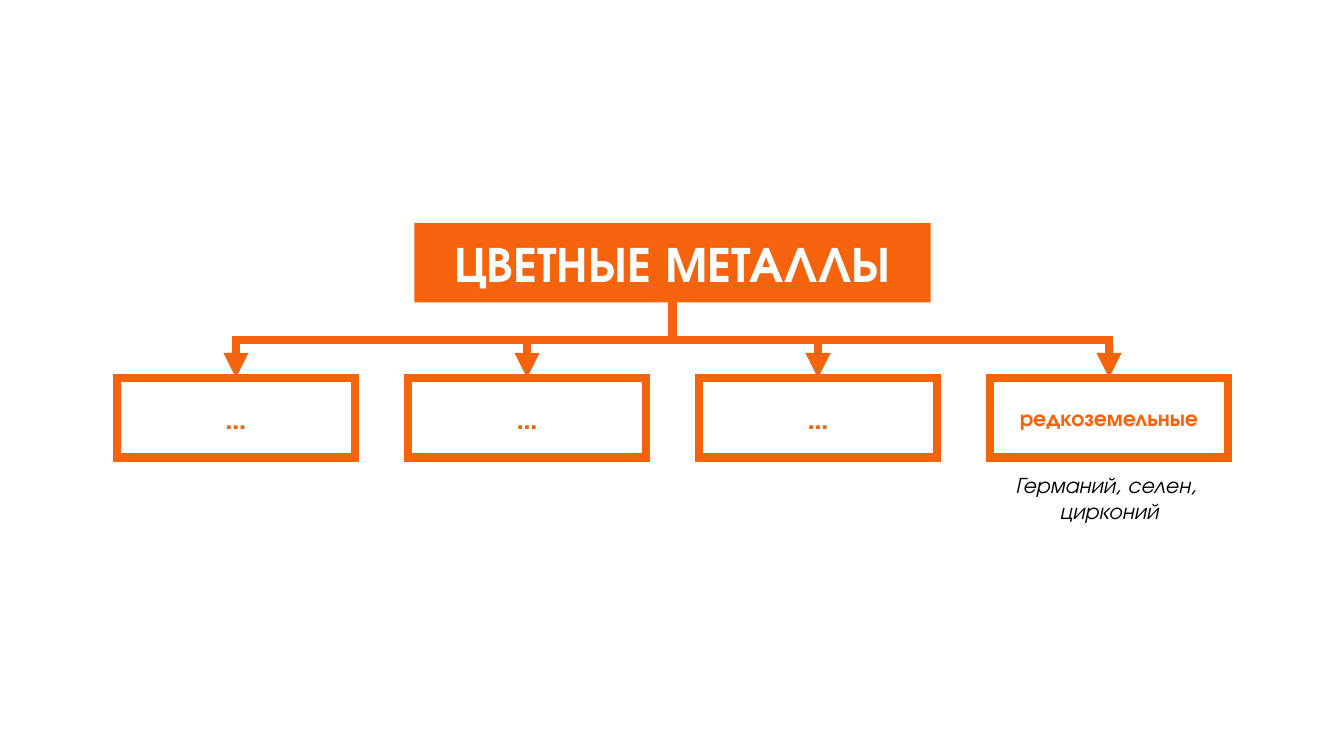
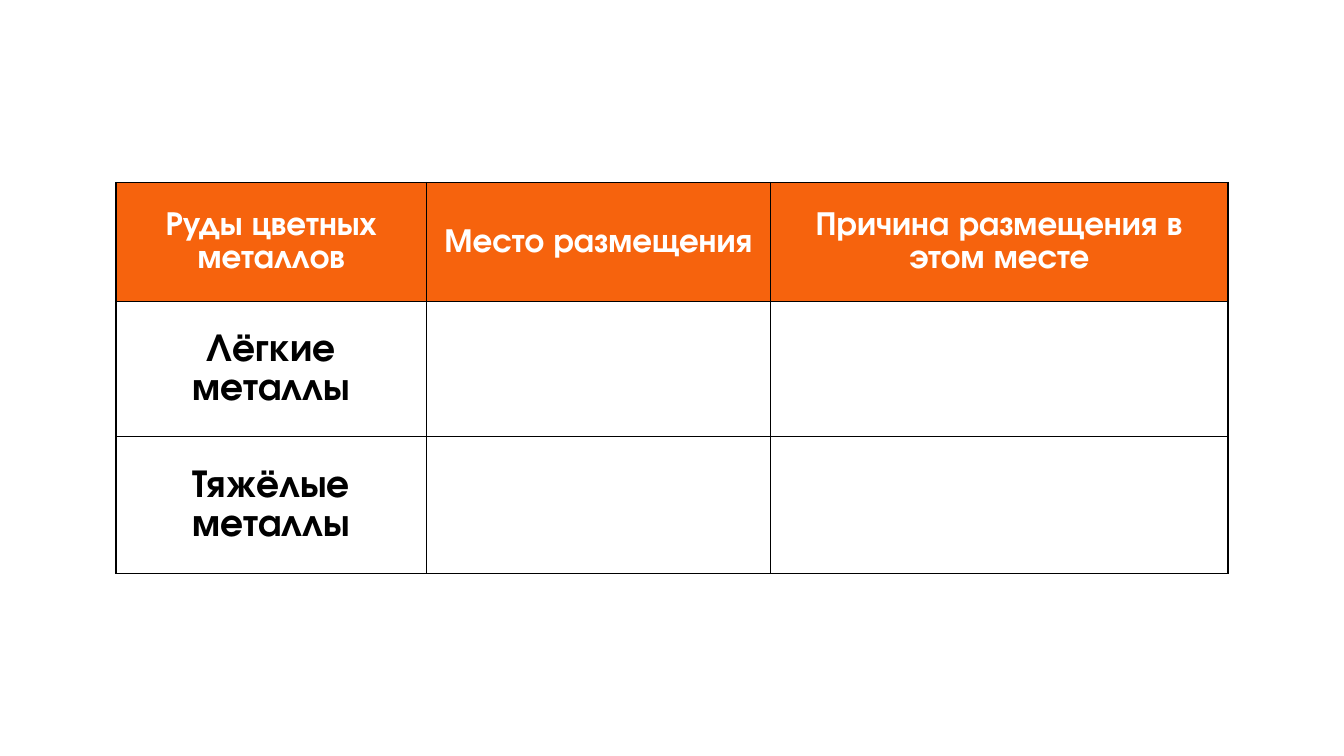
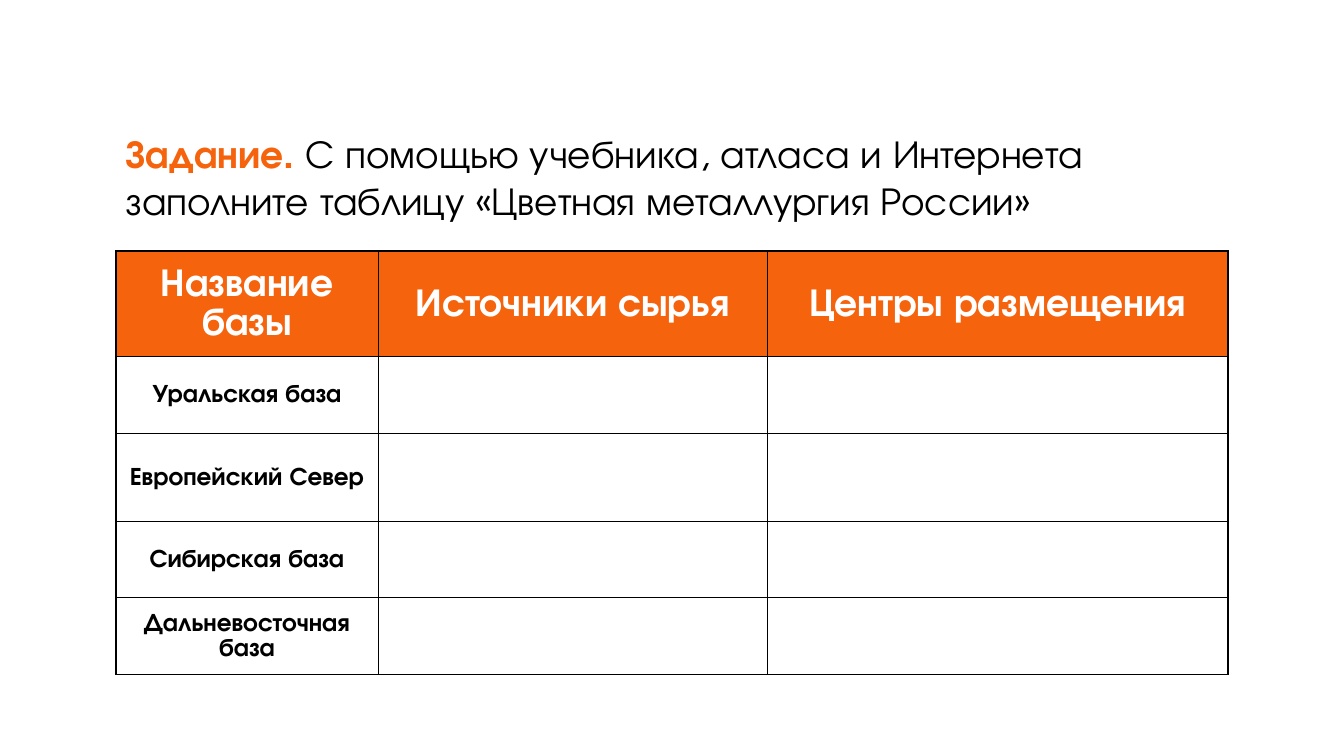
from lxml import etree
from pptx import Presentation
from pptx.dml.color import RGBColor
from pptx.enum.shapes import MSO_CONNECTOR, MSO_SHAPE
from pptx.enum.text import MSO_ANCHOR, PP_ALIGN
from pptx.oxml.ns import qn
from pptx.util import Inches, Pt

RECT = MSO_SHAPE.RECTANGLE
ELBOW = MSO_CONNECTOR.ELBOW
MIDDLE = MSO_ANCHOR.MIDDLE
CENTER = PP_ALIGN.CENTER
LEFT = PP_ALIGN.LEFT

FONT = "TeX Gyre Adventor"
HUES = {"main": "F6630D", "text": "000000", "back": "FFFFFF"}
EDGE = 1.15    # left margin of the content
SPAN = 11.02   # width of the content


def hue(name):
    return RGBColor.from_string(HUES[name])


def style(para, size, color, bold=False, italic=False, align=CENTER):
    para.alignment = align
    font = para.font
    font.name, font.size = FONT, Pt(size)
    font.bold, font.italic = bold, italic
    font.color.rgb = hue(color)


def stroke(line, arrow=False):
    """Thick line with sharp corners and an optional arrowhead."""
    line.color.rgb = hue("main")
    line.width = Pt(6)
    node = line._ln
    etree.SubElement(node, qn("a:miter"), lim="800000")
    if arrow:
        etree.SubElement(node, qn("a:tailEnd"), type="triangle")


def text_box(slide, box):
    frame = slide.shapes.add_textbox(*map(Inches, box)).text_frame
    frame.word_wrap = True
    return frame.paragraphs[0]


def block(slide, box, text, size, solid=False):
    """Rectangle with a label, either solid or outlined."""
    shape = slide.shapes.add_shape(RECT, *map(Inches, box))
    shape.shadow.inherit = False
    if solid:
        shape.fill.solid()
        shape.fill.fore_color.rgb = hue("main")
        shape.line.fill.background()
    else:
        shape.fill.background()
        stroke(shape.line)
    frame = shape.text_frame
    frame.word_wrap = True
    frame.vertical_anchor = MIDDLE
    para = frame.paragraphs[0]
    para.text = text
    style(para, size, "back" if solid else "main", bold=True)
    return shape


def branch(slide, root, leaf):
    """Elbow arrow that drops from the root to the top of a leaf."""
    link = slide.shapes.add_connector(ELBOW, 0, 0, 0, 0)
    link.begin_connect(root, 2)
    link.end_connect(leaf, 0)
    x1, y1 = root.left + root.width // 2, root.top + root.height
    x2, y2 = leaf.left + leaf.width // 2, leaf.top
    drop, run = y2 - y1, abs(x2 - x1)
    # The frame is turned a quarter so that the path starts downwards
    link.left, link.top = (x1 + x2 - drop) // 2, (y1 + y2 - run) // 2
    link.width, link.height = drop, run
    right = x2 > x1
    props = link._element.spPr
    frame = props.find(qn("a:xfrm"))
    frame.set("rot", str((270 if right else 90) * 60000))
    frame.set("flipH", "1" if right else "0")
    frame.set("flipV", "0")
    stroke(link.line, arrow=True)
    etree.SubElement(props, qn("a:effectLst"))


def tree(slide, box, title, leaves, note):
    left, top, width = box
    high, wide, head = 0.79, 2.36, 5.12
    root = block(slide, (left + (width - head) / 2, top, head, high),
                 title, 36, solid=True)
    step = (width - wide) / (len(leaves) - 1)
    row = top + 1.54
    items = [block(slide, (left + i * step, row, wide, high), text, size)
             for i, (text, size) in enumerate(leaves)]
    for item in items:
        branch(slide, root, item)
    # Examples under the last leaf
    para = text_box(slide, (left + width - wide, row + 0.87, wide, 0.64))
    para.text = note
    style(para, 16, "text", italic=True)


def border(cell):
    props = cell._tc.get_or_add_tcPr()
    for side in ("lnL", "lnR", "lnT", "lnB"):
        line = etree.SubElement(props, qn("a:" + side), w=str(Pt(1)))
        fill = etree.SubElement(line, qn("a:solidFill"))
        etree.SubElement(fill, qn("a:srgbClr"), val=HUES["text"])


def grid(slide, place, cols, rows, heads, names, sizes):
    """Table with a solid head row, row names and cells left to fill in."""
    box = (*place, sum(cols), sum(rows))
    table = slide.shapes.add_table(len(rows), len(cols),
                                   *map(Inches, box)).table
    table.first_row = table.horz_banding = False
    for col, width in zip(table.columns, cols):
        col.width = Inches(width)
    for row, height in zip(table.rows, rows):
        row.height = Inches(height)
    blank = [""] * (len(cols) - 1)
    texts = [heads] + [[name] + blank for name in names]
    for r, line in enumerate(texts):
        for c, text in enumerate(line):
            cell = table.cell(r, c)
            border(cell)
            if r == 0:
                cell.fill.solid()
                cell.fill.fore_color.rgb = hue("main")
            else:
                cell.fill.background()
            if not text:
                continue
            cell.vertical_anchor = MIDDLE
            cell.margin_left = cell.margin_right = Inches(0.07)
            cell.margin_top = cell.margin_bottom = 0
            para = cell.text_frame.paragraphs[0]
            para.text = text
            para.line_spacing = 1.07
            para.space_after = Pt(8)
            style(para, sizes[min(r, 1)], "text" if r else "back", bold=True)


def task(slide, box, label, text):
    para = text_box(slide, box)
    style(para, 28, "text", align=LEFT)
    lead = para.add_run()
    lead.text = label
    lead.font.bold = True
    lead.font.color.rgb = hue("main")
    para.add_run().text = text


def main():
    deck = Presentation()
    deck.slide_width, deck.slide_height = Inches(13.33), Inches(7.5)
    metals, ores, bases = [deck.slides.add_slide(deck.slide_layouts[6])
                           for _ in range(3)]

    # Kinds of metals
    tree(metals, (1.16, 2.21, SPAN), "ЦВЕТНЫЕ МЕТАЛЛЫ",
         [("…", 20)] * 3 + [("редкоземельные", 16)],
         "Германий, селен, \vцирконий")

    # Ores
    grid(ores, (EDGE, 1.81), (3.08, 3.41, 4.54), (1.18, 1.34, 1.36),
         ["Руды цветных металлов", "Место размещения",
          "Причина размещения в этом месте"],
         ["Лёгкие металлы", "Тяжёлые металлы"], (24, 28))

    # Bases
    task(bases, (EDGE, 1.23, SPAN, 1.04), "Задание. ",
         "С помощью учебника, атласа и Интернета заполните таблицу "
         "«Цветная металлургия России»")
    grid(bases, (EDGE, 2.49), (2.6, 3.86, 4.57),
         (1.05, 0.76, 0.87, 0.76, 0.76),
         ["Название базы", "Источники сырья", "Центры размещения"],
         ["Уральская база", "Европейский Север", "Сибирская база",
          "Дальневосточная база"], (28, 18))

    deck.save("out.pptx")


if __name__ == "__main__":
    main()
